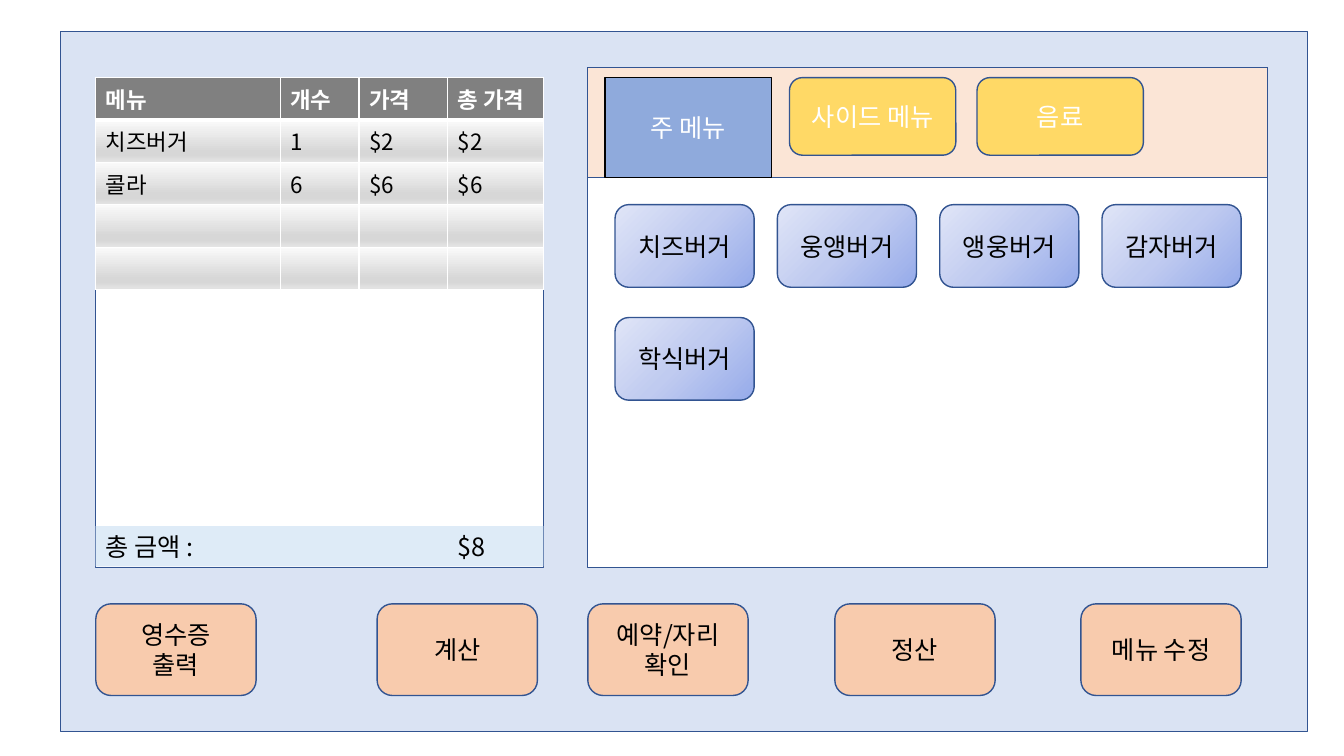
from lxml import etree
from pptx import Presentation
from pptx.dml.color import RGBColor
from pptx.enum import shapes, text
from pptx.oxml import ns
from pptx.util import Inches, Pt

FONT = "Noto Sans CJK KR"
WHITE = RGBColor(0xFF, 0xFF, 0xFF)
BLACK = RGBColor(0x00, 0x00, 0x00)
OUTLINE = RGBColor(0x32, 0x54, 0x91)
SCREEN = RGBColor(0xDA, 0xE3, 0xF3)
TAB_STRIP = RGBColor(0xFB, 0xE5, 0xD6)
ACTIVE_TAB = RGBColor(0x8F, 0xAA, 0xDC)
TAB = RGBColor(0xFF, 0xD9, 0x66)
ACTION = RGBColor(0xF8, 0xCB, 0xAD)
TOTAL_BAR = RGBColor(0xDE, 0xEB, 0xF7)
HEADER = RGBColor(0x80, 0x80, 0x80)
ITEM_STOPS = [(0, RGBColor(0x96, 0xAB, 0xEA)), (50, RGBColor(0xC0, 0xCB, 0xF0)),
              (100, RGBColor(0xE0, 0xE5, 0xF7))]
ROW_STOPS = [(0, RGBColor(0xFA, 0xFA, 0xFA)), (74, RGBColor(0xD7, 0xD7, 0xD7)),
             (83, RGBColor(0xD7, 0xD7, 0xD7)), (100, RGBColor(0xE4, 0xE4, 0xE4))]

RECT = shapes.MSO_SHAPE.RECTANGLE
ROUNDED = shapes.MSO_SHAPE.ROUNDED_RECTANGLE

ORDER_ROWS = [("메뉴", "개수", "가격", "총 가격"),
              ("치즈버거", "1", "$2", "$2"),
              ("콜라", "6", "$6", "$6"),
              ("",) * 4,
              ("",) * 4]
COLUMN_WIDTHS = (1.83, 0.78, 0.88, 0.95)
ITEMS = ["치즈버거", "웅앵버거", "앵웅버거", "감자버거", "학식버거"]
ACTIONS = [(0.95, "영수증\n출력"), (3.74, "계산"), (5.83, "예약/자리\n확인"),
           (8.28, "정산"), (10.72, "메뉴 수정")]


def add_xml(parent, tag, **attributes):
    return etree.SubElement(parent, ns.qn(tag), attributes)


def gradient(parent, stops):
    """Append a gradient fill and return it, ready for its direction."""
    fill = add_xml(parent, "a:gradFill", rotWithShape="1")
    stop_list = add_xml(fill, "a:gsLst")
    for percent, color in stops:
        stop = add_xml(stop_list, "a:gs", pos=str(percent * 1000))
        add_xml(stop, "a:srgbClr", val=str(color))
    return fill


def format_paragraph(paragraph, size, color, bold=False):
    font = paragraph.font
    font.name, font.size, font.bold = FONT, Pt(size), bold
    font.color.rgb = color
    defaults = paragraph._p.get_or_add_pPr().find(ns.qn("a:defRPr"))
    add_xml(defaults, "a:ea", typeface=FONT)


def add_box(slide, kind, box, fill, line=OUTLINE):
    shape = slide.shapes.add_shape(kind, *map(Inches, box))
    shape.shadow.inherit = False
    shape.fill.solid()
    shape.fill.fore_color.rgb = fill
    if line is None:
        shape.line.fill.background()
    else:
        shape.line.color.rgb = line
        shape.line.width = Pt(1)
    return shape


def add_button(slide, box, label, fill, color=BLACK, line=OUTLINE):
    button = add_box(slide, ROUNDED, box, fill, line)
    frame = button.text_frame
    frame.text = label
    frame.vertical_anchor = text.MSO_ANCHOR.MIDDLE
    for paragraph in frame.paragraphs:
        paragraph.alignment = text.PP_ALIGN.CENTER
        format_paragraph(paragraph, 18, color)
    return button


def add_item(slide, box, label):
    """Menu item button, shaded from its bottom right corner."""
    item = add_button(slide, box, label, WHITE)
    properties = item._element.spPr
    shade = gradient(properties, ITEM_STOPS)
    direction = add_xml(shade, "a:path", path="circle")
    add_xml(direction, "a:fillToRect", l="100000", t="100000")
    properties.replace(properties.find(ns.qn("a:solidFill")), shade)


def format_cell(cell, is_header):
    properties = cell._tc.get_or_add_tcPr()
    for side in ("L", "R", "T", "B"):
        width = Pt(3 if is_header and side == "B" else 1)
        border = add_xml(properties, "a:ln" + side, w=str(width))
        add_xml(add_xml(border, "a:solidFill"), "a:srgbClr", val=str(WHITE))
    if is_header:
        cell.fill.solid()
        cell.fill.fore_color.rgb = HEADER
    else:
        shade = gradient(properties, ROW_STOPS)
        add_xml(shade, "a:lin", ang="5400000", scaled="0")
    color = WHITE if is_header else BLACK
    format_paragraph(cell.text_frame.paragraphs[0], 16, color, is_header)


def add_order_table(slide):
    box = map(Inches, (0.95, 0.77, 4.44, 1.95))
    table = slide.shapes.add_table(len(ORDER_ROWS), len(COLUMN_WIDTHS), *box).table
    for column, width in zip(table.columns, COLUMN_WIDTHS):
        column.width = Inches(width)
    for r, row in enumerate(ORDER_ROWS):
        for c, value in enumerate(row):
            cell = table.cell(r, c)
            cell.text = value
            format_cell(cell, r == 0)


def add_total(slide):
    bar = add_box(slide, RECT, (0.95, 5.22, 4.44, 0.4), TOTAL_BAR, None)
    bar.text_frame.text = "총 금액 :\t$8"
    total = bar.text_frame.paragraphs[0]
    total.alignment = text.PP_ALIGN.LEFT
    format_paragraph(total, 18, BLACK)
    # The amount lines up with the last table column
    tabs = etree.Element(ns.qn("a:tabLst"))
    add_xml(tabs, "a:tab", pos=str(Inches(sum(COLUMN_WIDTHS[:3]))), algn="l")
    total._p.pPr.find(ns.qn("a:defRPr")).addprevious(tabs)


def main():
    presentation = Presentation()
    presentation.slide_width = Inches(13.33)
    presentation.slide_height = Inches(7.5)
    slide = presentation.slides.add_slide(presentation.slide_layouts[6])

    # Screen, menu panel, order panel and tab strip
    add_box(slide, RECT, (0.6, 0.31, 12.37, 6.95), SCREEN)
    add_box(slide, RECT, (5.83, 0.67, 6.74, 4.96), WHITE)
    add_box(slide, RECT, (0.95, 0.77, 4.44, 4.86), WHITE)
    add_box(slide, RECT, (5.83, 0.67, 6.74, 1.09), TAB_STRIP)

    # Category tabs
    main_menu = add_button(slide, (6, 0.77, 1.65, 0.99), "주 메뉴",
                           ACTIVE_TAB, WHITE, BLACK)
    main_menu.adjustments[0] = 0
    for left, label in ((7.83, "사이드 메뉴"), (9.69, "음료")):
        add_button(slide, (left, 0.77, 1.65, 0.77), label, TAB, WHITE)

    # Menu items, four to a row
    for i, label in enumerate(ITEMS):
        row, column = divmod(i, 4)
        add_item(slide, (6.1 + 1.61 * column, 2.03 + 1.12 * row, 1.38, 0.82), label)

    # Order list and its total
    add_order_table(slide)
    add_total(slide)

    # Action buttons
    for left, label in ACTIONS:
        add_button(slide, (left, 5.99, 1.59, 0.91), label, ACTION)

    presentation.save("out.pptx")


if __name__ == "__main__":
    main()
